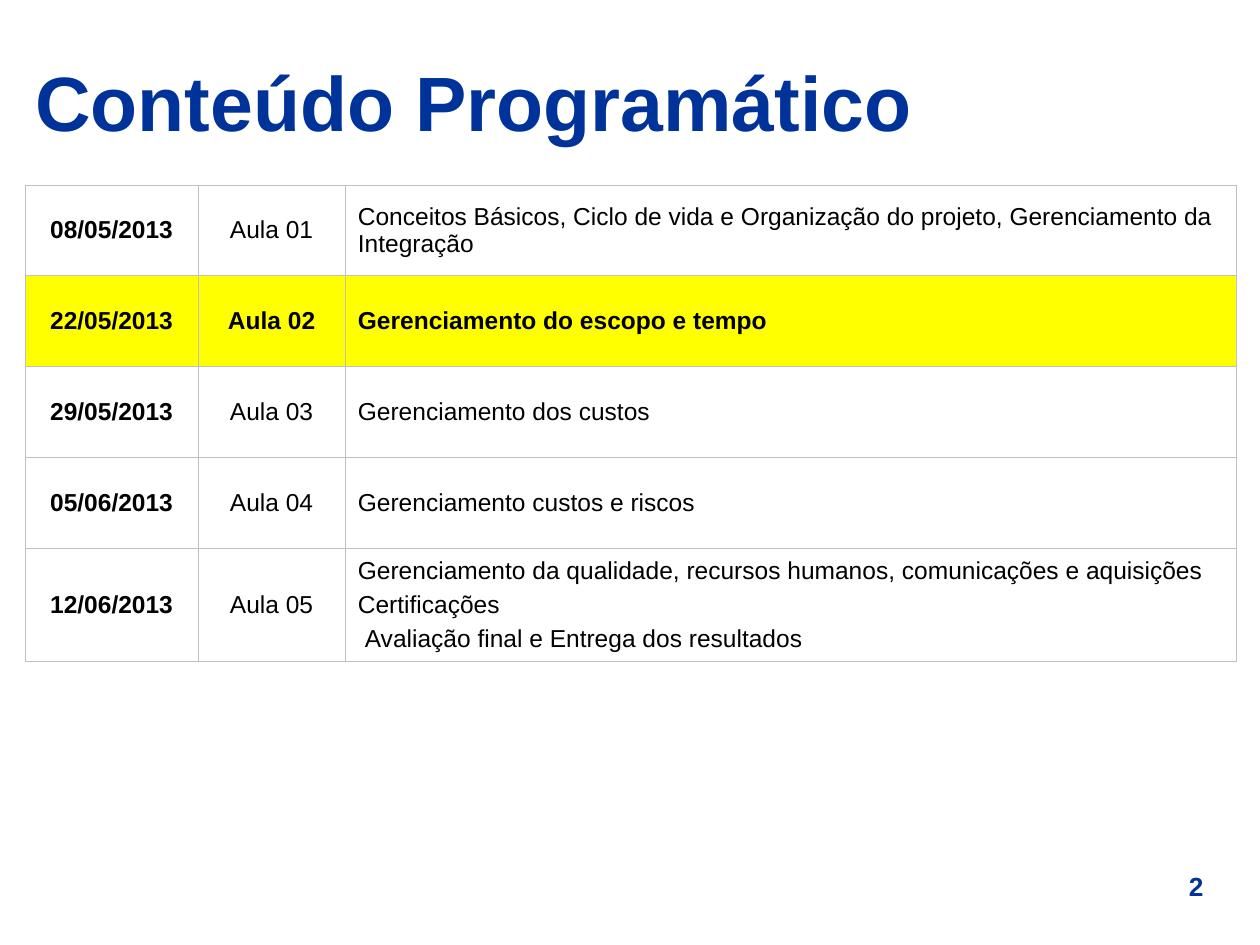
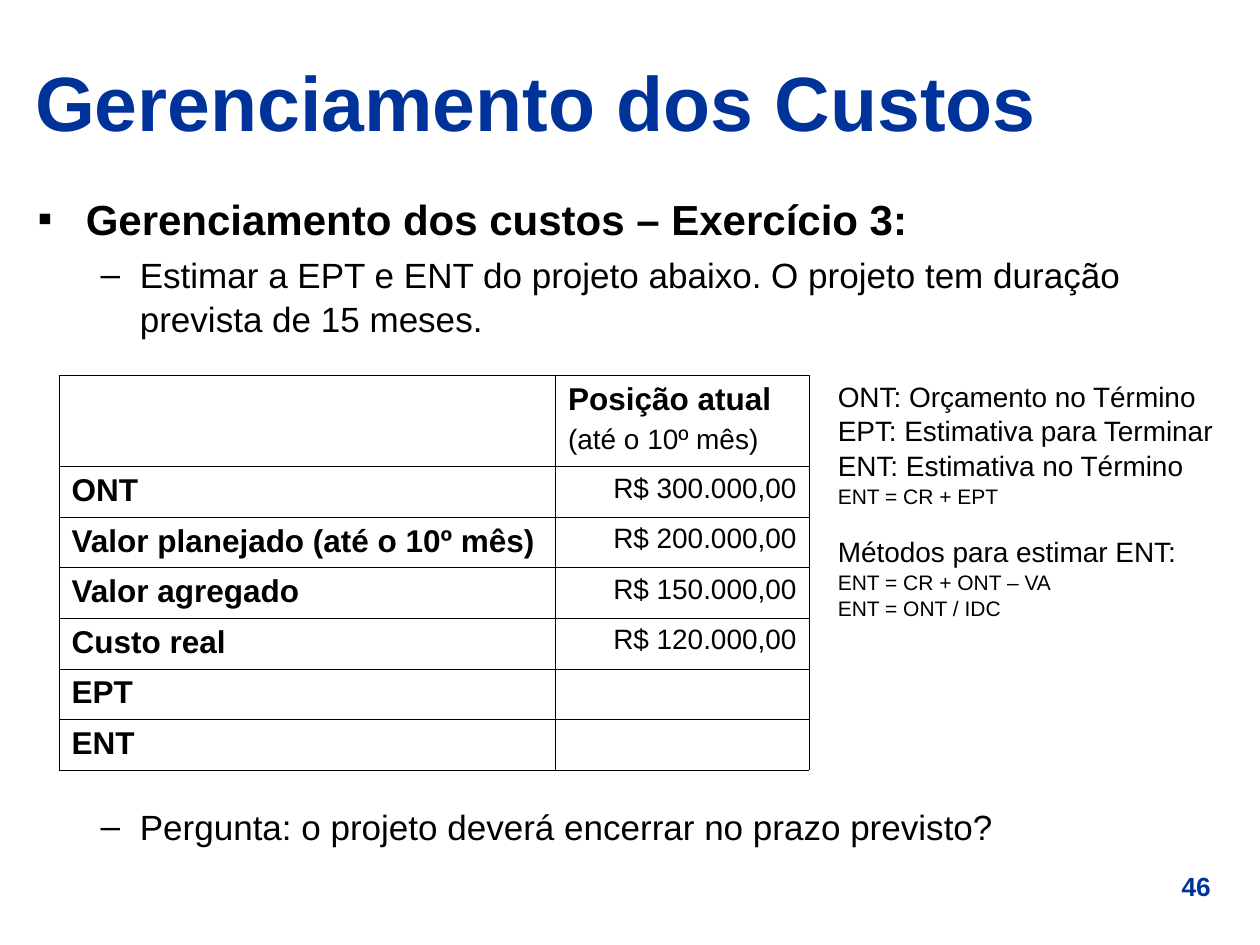
from dataclasses import dataclass
from typing import Optional, Sequence

from lxml.etree import SubElement
from pptx import Presentation
from pptx.dml.color import RGBColor
from pptx.enum.text import MSO_ANCHOR as Anchor, PP_ALIGN as Align
from pptx.oxml.ns import qn
from pptx.util import Cm, Pt

COLORS = {
    "title": "003399",
    "text": "000000",
    "white": "FFFFFF",
    "highlight": "FFFF00",
    "schedule_border": "C0C0C0",
    "cost_border": "000000",
}
FONT = "Arial"
BORDER_WIDTH = Pt(0.45)
LINE_SPACING = 1.04


@dataclass
class Line:
    """One paragraph; indents in cm, spacing in points."""
    text: str
    size: float
    bold: bool = False
    color: str = "text"
    align: Align = Align.LEFT
    before: float = 0
    indent: float = 0
    hanging: float = 0
    bullet: str = ""
    spacing: Optional[float] = None


@dataclass
class Area:
    """A rectangle in cm."""
    left: float
    top: float
    width: float
    height: float


@dataclass
class Cell:
    lines: Sequence[Line] = ()
    fill: str = "white"


TITLE_AREA = Area(0.46, 0.71, 24.43, 2.57)
NUMBER_AREA = Area(23.11, 17.42, 2.01, 0.89)
BODY_AREA = Area(0.51, 3.73, 24.41, 14.2)
NOTES_AREA = Area(16.64, 7.49, 8.51, 5)


def rgb(name: str) -> RGBColor:
    return RGBColor.from_string(COLORS[name])


def write_lines(frame, lines: Sequence[Line]) -> None:
    for index, line in enumerate(lines):
        para = frame.paragraphs[0] if index == 0 else frame.add_paragraph()
        properties = para._p.get_or_add_pPr()
        if line.indent:
            properties.set("marL", str(Cm(line.indent)))
            properties.set("indent", str(-Cm(line.hanging)))
        if line.bullet:
            color = SubElement(properties, qn("a:buClr"))
            SubElement(color, qn("a:srgbClr"), val=COLORS["text"])
            SubElement(properties, qn("a:buFont"), typeface=FONT)
            SubElement(properties, qn("a:buChar"), char=line.bullet)
        para.alignment = line.align
        if line.spacing:
            para.line_spacing = line.spacing
        if index:
            para.space_before = Pt(line.before)
        span = para.add_run()
        span.text = line.text
        span.font.name = FONT
        span.font.size = Pt(line.size)
        span.font.bold = line.bold
        span.font.color.rgb = rgb(line.color)


def add_text(page, area: Area, lines: Sequence[Line], anchor: Anchor = Anchor.TOP) -> None:
    box = page.shapes.add_textbox(Cm(area.left), Cm(area.top), Cm(area.width), Cm(area.height))
    box.text_frame.word_wrap = True
    box.text_frame.vertical_anchor = anchor
    write_lines(box.text_frame, lines)


def set_borders(cell, color: str) -> None:
    properties = cell._tc.get_or_add_tcPr()
    for position, side in enumerate(("lnL", "lnR", "lnT", "lnB")):
        border = properties.makeelement(qn(f"a:{side}"), {"w": str(BORDER_WIDTH)})
        fill = SubElement(border, qn("a:solidFill"))
        SubElement(fill, qn("a:srgbClr"), val=COLORS[color])
        properties.insert(position, border)


def add_grid(page, left: float, top: float, widths: Sequence[float], heights: Sequence[float],
             rows: Sequence[Sequence[Cell]], border: str, anchor: Anchor) -> None:
    frame = page.shapes.add_table(len(heights), len(widths), Cm(left), Cm(top),
                                  Cm(sum(widths)), Cm(sum(heights)))
    table = frame.table
    table.first_row = table.horz_banding = False
    for column, width in zip(table.columns, widths):
        column.width = Cm(width)
    for row, height, contents in zip(table.rows, heights, rows):
        row.height = Cm(height)
        for cell, content in zip(row.cells, contents):
            cell.vertical_anchor = anchor
            cell.fill.solid()
            cell.fill.fore_color.rgb = rgb(content.fill)
            set_borders(cell, border)
            write_lines(cell.text_frame, content.lines)


def add_page(deck, title: str, number: int):
    page = deck.slides.add_slide(deck.slide_layouts[6])
    add_text(page, NUMBER_AREA, [Line(str(number), 15, True, "title", Align.CENTER)])
    add_text(page, TITLE_AREA, [Line(title, 44, True, "title", spacing=LINE_SPACING)],
             Anchor.MIDDLE)
    return page


# Course schedule: date and topics of each class
LESSONS = [
    ("08/05/2013", ["Conceitos Básicos, Ciclo de vida e Organização do projeto, "
                    "Gerenciamento da Integração"]),
    ("22/05/2013", ["Gerenciamento do escopo e tempo"]),
    ("29/05/2013", ["Gerenciamento dos custos"]),
    ("05/06/2013", ["Gerenciamento custos e riscos"]),
    ("12/06/2013", ["Gerenciamento da qualidade, recursos humanos, comunicações e aquisições",
                    "Certificações", "Avaliação final e Entrega dos resultados"]),
]
CURRENT_LESSON = 2


def build_schedule(deck) -> None:
    page = add_page(deck, "Conteúdo Programático", 2)
    rows = []
    for number, (date, topics) in enumerate(LESSONS, start=1):
        current = number == CURRENT_LESSON
        fill = "highlight" if current else "white"
        topic_lines = [Line(topic, 14, current, before=3.5) for topic in topics]
        if len(topics) > 1:
            topic_lines[-1].indent = 0.14  # the closing topic is set in slightly
        rows.append([
            Cell([Line(date, 14, True, align=Align.CENTER)], fill),
            Cell([Line(f"Aula {number:02}", 14, current, align=Align.CENTER)], fill),
            Cell(topic_lines, fill),
        ])
    add_grid(page, 0.51, 3.73, [3.48, 2.97, 17.96], [1.83] * 4 + [2.29], rows,
             "schedule_border", Anchor.MIDDLE)


# Cost exercise: known values and those to estimate
COSTS = [
    ("ONT", "R$ 300.000,00"),
    ("Valor planejado (até o 10º mês)", "R$ 200.000,00"),
    ("Valor agregado", "R$ 150.000,00"),
    ("Custo real", "R$ 120.000,00"),
    ("EPT", ""),
    ("ENT", ""),
]


def dash_line(text: str, before: float) -> Line:
    return Line(text, 20, before=before, indent=2.06, hanging=0.79, bullet="–",
                spacing=LINE_SPACING)


def note(text: str, size: float = 16, before: float = 0) -> Line:
    return Line(text, size, before=before, spacing=LINE_SPACING)


def build_exercise(deck) -> None:
    page = add_page(deck, "Gerenciamento dos Custos", 46)

    # Statement above the table and question below it
    add_text(page, BODY_AREA, [
        Line("Gerenciamento dos custos – Exercício 3:", 24, True, indent=0.97, hanging=0.97,
             bullet="▪", spacing=LINE_SPACING),
        dash_line("Estimar a EPT e ENT do projeto abaixo. O projeto tem duração prevista "
                  "de 15 meses.", 5),
        dash_line("Pergunta: o projeto deverá encerrar no prazo previsto?", 265),
    ])

    # Cost table
    header = [Cell(), Cell([Line("Posição atual", 18, True),
                            Line("(até o 10º mês)", 16, before=4)])]
    rows = [header]
    for label, value in COSTS:
        value_lines = [Line(value, 16, align=Align.RIGHT)] if value else []
        rows.append([Cell([Line(label, 18, True)]), Cell(value_lines)])
    add_grid(page, 1.19, 7.57, [10.01, 5.11], [1.83] + [1.02] * len(COSTS), rows,
             "cost_border", Anchor.TOP)

    # Abbreviations and formulas
    add_text(page, NOTES_AREA, [
        note("ONT: Orçamento no Término"),
        note("EPT: Estimativa para Terminar"),
        note("ENT: Estimativa no Término"),
        note("ENT = CR + EPT", 12),
        note("Métodos para estimar ENT:", before=14.3),
        note("ENT = CR + ONT – VA", 12),
        note("ENT = ONT / IDC", 12),
    ])


def main() -> None:
    deck = Presentation()
    deck.slide_width, deck.slide_height = Cm(25.4), Cm(19.05)
    build_schedule(deck)
    build_exercise(deck)
    deck.save("out.pptx")


if __name__ == "__main__":
    main()
